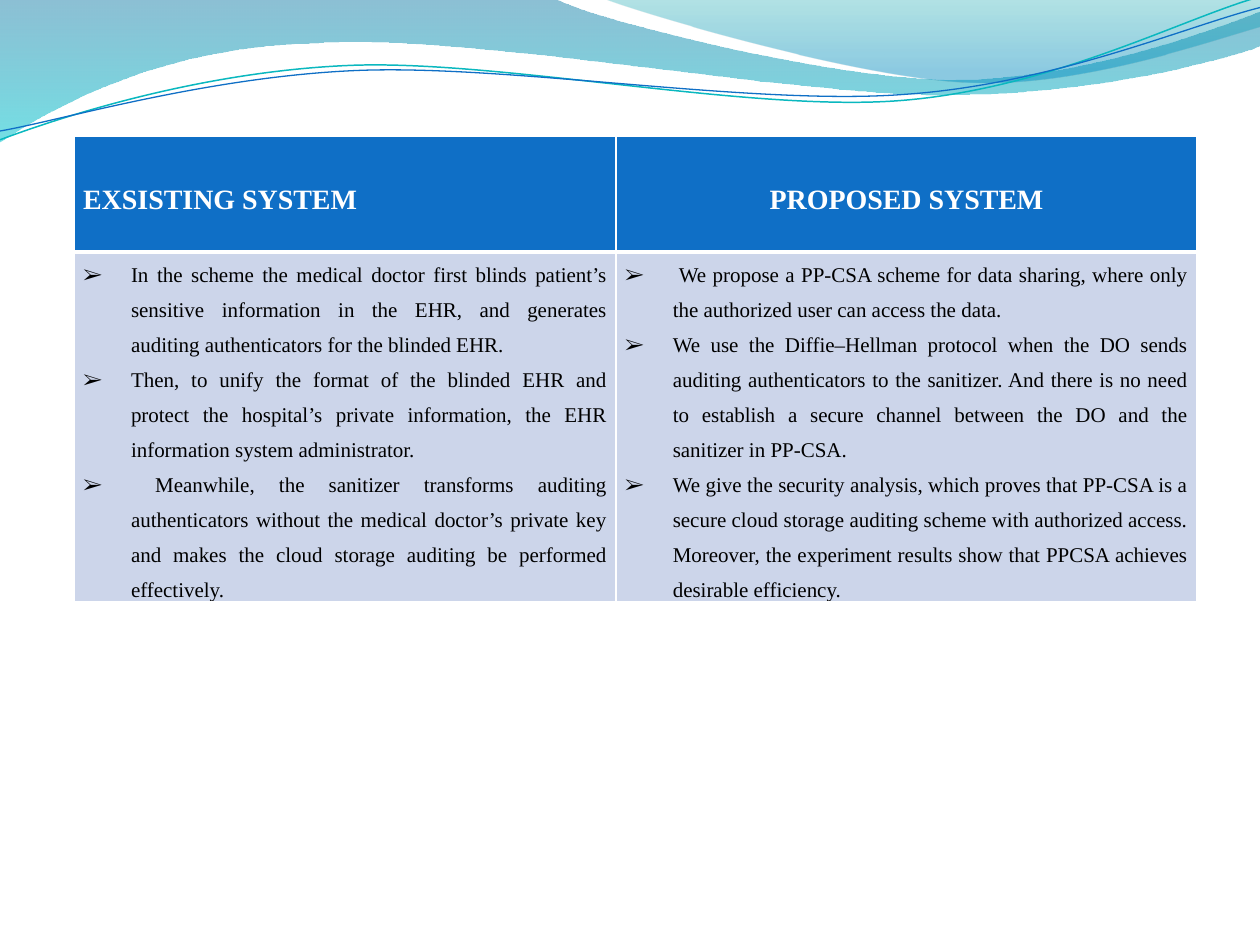
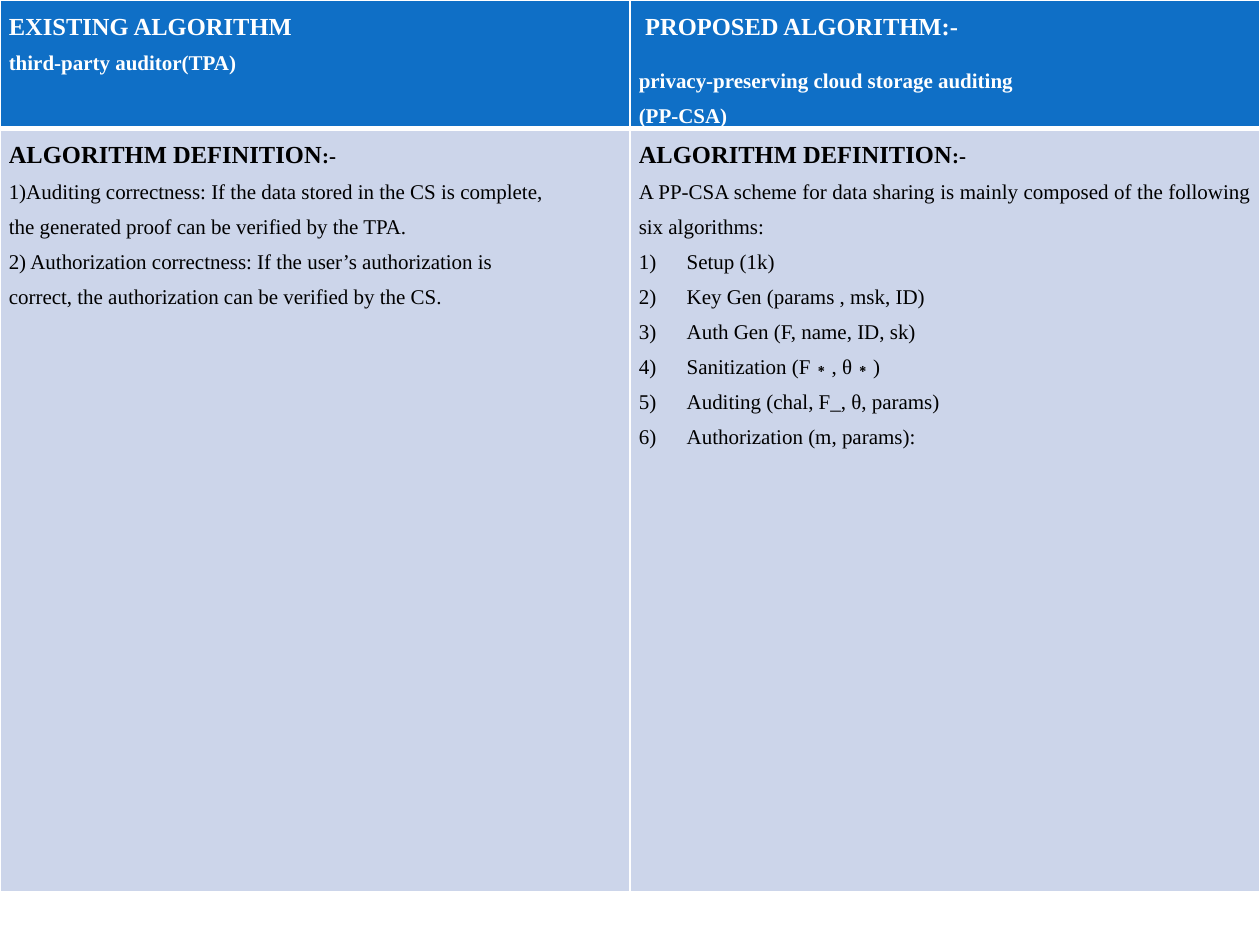
from lxml.etree import SubElement
from pptx import Presentation
from pptx.dml.color import RGBColor
from pptx.enum.text import PP_ALIGN
from pptx.oxml import parse_xml
from pptx.oxml.ns import nsdecls, qn
from pptx.util import Inches, Pt

FONT = "Times New Roman"
COLORS = {
    "header": "0F6FC6", "body": "CCD5EA", "white": "FFFFFF", "black": "000000",
    "teal_line": "0AB8BF", "blue_line": "0F6FC6",
    "deep_blue": "0074A1", "aqua": "00C6CF", "sea": "00A1A9", "sky": "008BBF",
}
HANG = 0.38
UNITS_PER_INCH = 100

# Each wave is a start point followed by line ends (2 numbers) or Bezier curves (6 numbers).
WIDE_BAND = [(0, 0), (4.4, -0.01), (4.76, 0.17, 6.64, 0.63, 7.58, 0.63),
             (8.53, 0.63, 9.58, 0.26, 10, 0.09), (10.01, 0.36),
             (9.83, 0.44, 8.7, 0.76, 7.46, 0.75), (6.22, 0.75, 3.82, 0.28, 2.57, 0.34),
             (1.29, 0.36, 0.46, 0.83, -0.01, 1.13), (0, 0)]
RIGHT_BAND = [(4.79, -0.01), (5.09, 0.11, 6.82, 0.62, 7.69, 0.65),
              (8.56, 0.69, 9.61, 0.32, 10, 0.21), (10, 0), (4.79, -0.01)]
TEAL_WAVE = [(0, 1.11), (0.48, 0.93, 1.58, 0.57, 2.77, 0.52),
             (3.95, 0.47, 5.93, 0.89, 7.13, 0.8), (8.33, 0.71, 9.38, 0.15, 9.98, -0.02)]
BLUE_WAVE = [(0, 1.04), (0.47, 0.96, 1.64, 0.61, 2.83, 0.56),
             (4.03, 0.51, 5.97, 0.84, 7.17, 0.75), (8.36, 0.67, 9.41, 0.21, 10, 0.06)]


def rgb(name):
    return RGBColor.from_string(COLORS[name])


def add_outline(s, segments, close):
    """Build a freeform, then join the three points of each curve into one Bezier."""
    points = [(seg[i] * UNITS_PER_INCH, seg[i + 1] * UNITS_PER_INCH)
              for seg in segments for i in range(0, len(seg), 2)]
    builder = s.shapes.build_freeform(*points[0], scale=Inches(1) / UNITS_PER_INCH)
    builder.add_line_segments(points[1:], close=close)
    sp = builder.convert_to_shape()
    sp.shadow.inherit = False
    lines = iter(list(sp._element.iter(qn("a:lnTo"))))
    for seg in segments[1:]:
        first = next(lines)
        if len(seg) == 6:
            curve = parse_xml(f'<a:cubicBezTo {nsdecls("a")}/>')
            first.addprevious(curve)
            for line in (first, next(lines), next(lines)):
                curve.append(line[0])
                line.getparent().remove(line)
    return sp


def add_band(s, segments, stops):
    """Add a closed shape with a vertical gradient of (position, colour, opacity) stops."""
    sp = add_outline(s, segments, close=True)
    sp.line.fill.background()
    sp.fill.background()
    gs = "".join(f'<a:gs pos="{pos * 1000}"><a:srgbClr val="{COLORS[color]}">'
                 f'<a:alpha val="{opacity * 1000}"/></a:srgbClr></a:gs>'
                 for pos, color, opacity in stops)
    grad = parse_xml(f'<a:gradFill {nsdecls("a")}><a:gsLst>{gs}</a:gsLst>'
                     '<a:lin ang="5400000" scaled="0"/></a:gradFill>')
    spPr = sp._element.spPr
    spPr.replace(spPr.find(qn("a:noFill")), grad)
    return sp


def add_wave_line(s, segments, color, width):
    sp = add_outline(s, segments, close=False)
    sp.fill.background()
    sp.line.color.rgb = rgb(color)
    sp.line.width = Pt(width)
    return sp


def add_waves(s):
    """Draw the wave header and move it to the layout that all slides share."""
    waves = [
        add_band(s, WIDE_BAND, [(0, "deep_blue", 45), (100, "aqua", 55)]),
        add_band(s, RIGHT_BAND, [(0, "sea", 30), (80, "sky", 45)]),
        add_wave_line(s, TEAL_WAVE, "teal_line", 0.85),
        add_wave_line(s, BLUE_WAVE, "blue_line", 0.75),
    ]
    for sp in waves:
        s.slide_layout.shapes._spTree.append(sp._element)


def write(p, text, size=12, bold=False, color="black"):
    r = p.add_run()
    r.text = text
    r.font.name = FONT
    r.font.size = Pt(size)
    r.font.bold = bold
    r.font.color.rgb = rgb(color)


def para(*runs, align=PP_ALIGN.JUSTIFY, spacing=1.5, after=0, indent=0, bullet=None):
    """Describe a paragraph; each run is (text, format)."""
    return dict(runs=runs, align=align, spacing=spacing, after=after,
                indent=indent, bullet=bullet)


def plain(text, **fmt):
    return para((text, {}), **fmt)


def heading(text, size, **fmt):
    return para((text, dict(size=size, bold=True, color="white")), **fmt)


def definition_heading():
    return para(("ALGORITHM DEFINITION", dict(size=14, bold=True)), (":-", dict(bold=True)))


def arrows(*texts):
    return [plain(t, bullet=("a:buChar", "char", "➢")) for t in texts]


def numbered(*texts):
    return [plain(t, bullet=("a:buAutoNum", "type", "arabicParenR")) for t in texts]


def fill_paragraph(p, spec):
    p.alignment = spec["align"]
    p.line_spacing = spec["spacing"]
    p.space_before = Pt(0)
    p.space_after = Pt(spec["after"])
    pPr = p._p.get_or_add_pPr()
    indent = spec["indent"]
    if spec["bullet"]:
        tag, key, value = spec["bullet"]
        indent = HANG
        pPr.set("indent", str(-Inches(HANG)))
        SubElement(pPr, qn("a:buFont")).set("typeface", FONT)
        SubElement(pPr, qn(tag)).set(key, value)
    pPr.set("marL", str(Inches(indent)))
    for text, fmt in spec["runs"]:
        write(p, text, **fmt)


def set_borders(cell, widths):
    """Give the cell white borders; widths are left, right, top, bottom in points."""
    tcPr = cell._tc.get_or_add_tcPr()
    for i, (side, width) in enumerate(zip("LRTB", widths)):
        tcPr.insert(i, parse_xml(
            f'<a:ln{side} {nsdecls("a")} w="{Pt(width)}"><a:solidFill>'
            f'<a:srgbClr val="{COLORS["white"]}"/></a:solidFill></a:ln{side}>'))


def add_comparison(s, left, top, cols, rows, cells, header_inset=0):
    """Add a two-row table: header cells above body cells."""
    table = s.shapes.add_table(len(rows), len(cols), Inches(left), Inches(top),
                               Inches(sum(cols)), Inches(sum(rows))).table
    table.horz_banding = False
    for col, width in zip(table.columns, cols):
        col.width = Inches(width)
    for row, height in zip(table.rows, rows):
        row.height = Inches(height)
    for i, row_cells in enumerate(cells):
        for j, paragraphs in enumerate(row_cells):
            cell = table.cell(i, j)
            cell.margin_left = cell.margin_right = Inches(0.07)
            cell.margin_top = Inches(0 if i else header_inset)
            cell.margin_bottom = 0
            cell.fill.solid()
            cell.fill.fore_color.rgb = rgb("body" if i else "header")
            set_borders(cell, (1, 1, 3 if i else 1, 1 if i else 3))
            tf = cell.text_frame
            for k, spec in enumerate(paragraphs):
                fill_paragraph(tf.add_paragraph() if k else tf.paragraphs[0], spec)


def add_systems_slide(s):
    headers = [
        [heading("EXSISTING SYSTEM", 16, align=PP_ALIGN.LEFT, spacing=1.15, after=10)],
        [heading("PROPOSED SYSTEM", 16, align=PP_ALIGN.CENTER, spacing=1.15, after=10)],
    ]
    existing = arrows(
        "In the scheme the medical doctor first blinds patient’s sensitive information in "
        "the EHR, and generates auditing authenticators for the blinded EHR.",
        "Then, to unify the format of the blinded EHR and protect the hospital’s private "
        "information, the EHR information system administrator.",
        " Meanwhile, the sanitizer transforms auditing authenticators without the medical "
        "doctor’s private key and makes the cloud storage auditing be performed effectively.")
    proposed = arrows(
        " We propose a PP-CSA scheme for data sharing, where only the authorized user can "
        "access the data.",
        "We use the Diffie–Hellman protocol when the DO sends auditing authenticators to the "
        "sanitizer. And there is no need to establish a secure channel between the DO and "
        "the sanitizer in PP-CSA.",
        "We give the security analysis, which proves that PP-CSA is a secure cloud storage "
        "auditing scheme with authorized access. Moreover, the experiment results show that "
        "PPCSA achieves desirable efficiency.")
    add_comparison(s, 0.59, 1.08, (4.3, 4.61), (0.92, 2.26),
                   [headers, [existing, proposed]], header_inset=0.35)


def add_algorithms_slide(s):
    headers = [
        [heading("EXISTING ALGORITHM", 14), heading("third-party auditor(TPA)", 12)],
        [heading("PROPOSED ALGORITHM:-", 14, indent=0.05, after=10),
         heading("privacy-preserving cloud storage auditing", 12),
         heading("(PP-CSA)", 12)],
    ]
    existing = [
        definition_heading(),
        plain("1)Auditing correctness: If the data stored in the CS is complete,"),
        plain("the generated proof can be verified by the TPA."),
        plain("2) Authorization correctness: If the user’s authorization is"),
        plain("correct, the authorization can be verified by the CS."),
    ]
    proposed = [
        definition_heading(),
        plain("A PP-CSA scheme for data sharing is mainly composed of the following "
              "six algorithms:"),
        *numbered("Setup (1k)", "Key Gen (params , msk, ID)", "Auth Gen (F, name, ID, sk)",
                  "Sanitization (F∗, θ∗)", "Auditing (chal, F_, θ, params)",
                  "Authorization (m, params):"),
    ]
    add_comparison(s, 0, 0, (5, 5), (1.02, 6.06), [headers, [existing, proposed]])


def main():
    prs = Presentation()
    prs.slide_width, prs.slide_height = Inches(10), Inches(7.5)
    blank = prs.slide_layouts[6]
    systems, algorithms = (prs.slides.add_slide(blank) for _ in range(2))
    add_waves(systems)
    add_systems_slide(systems)
    add_algorithms_slide(algorithms)
    prs.save("out.pptx")


if __name__ == "__main__":
    main()
